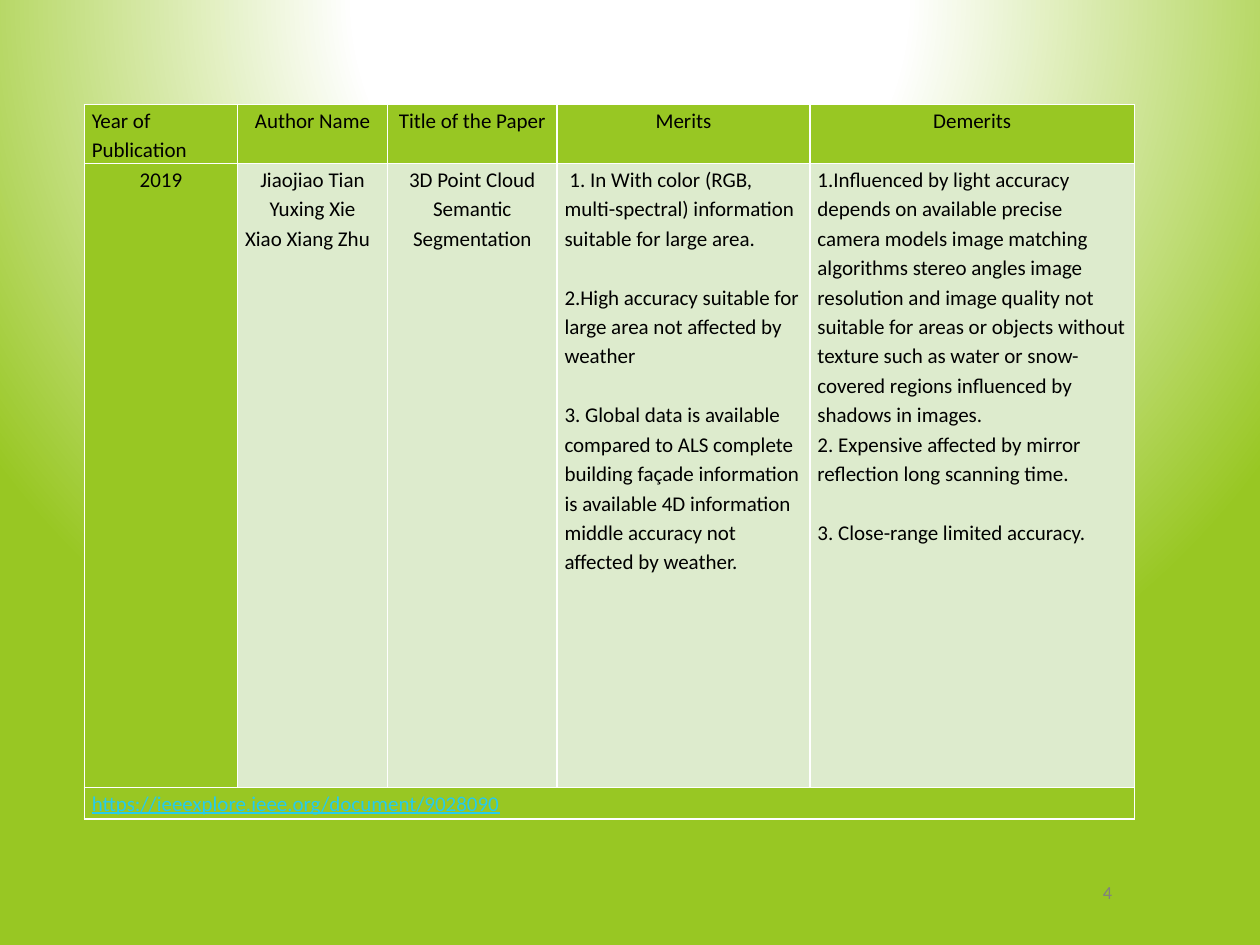
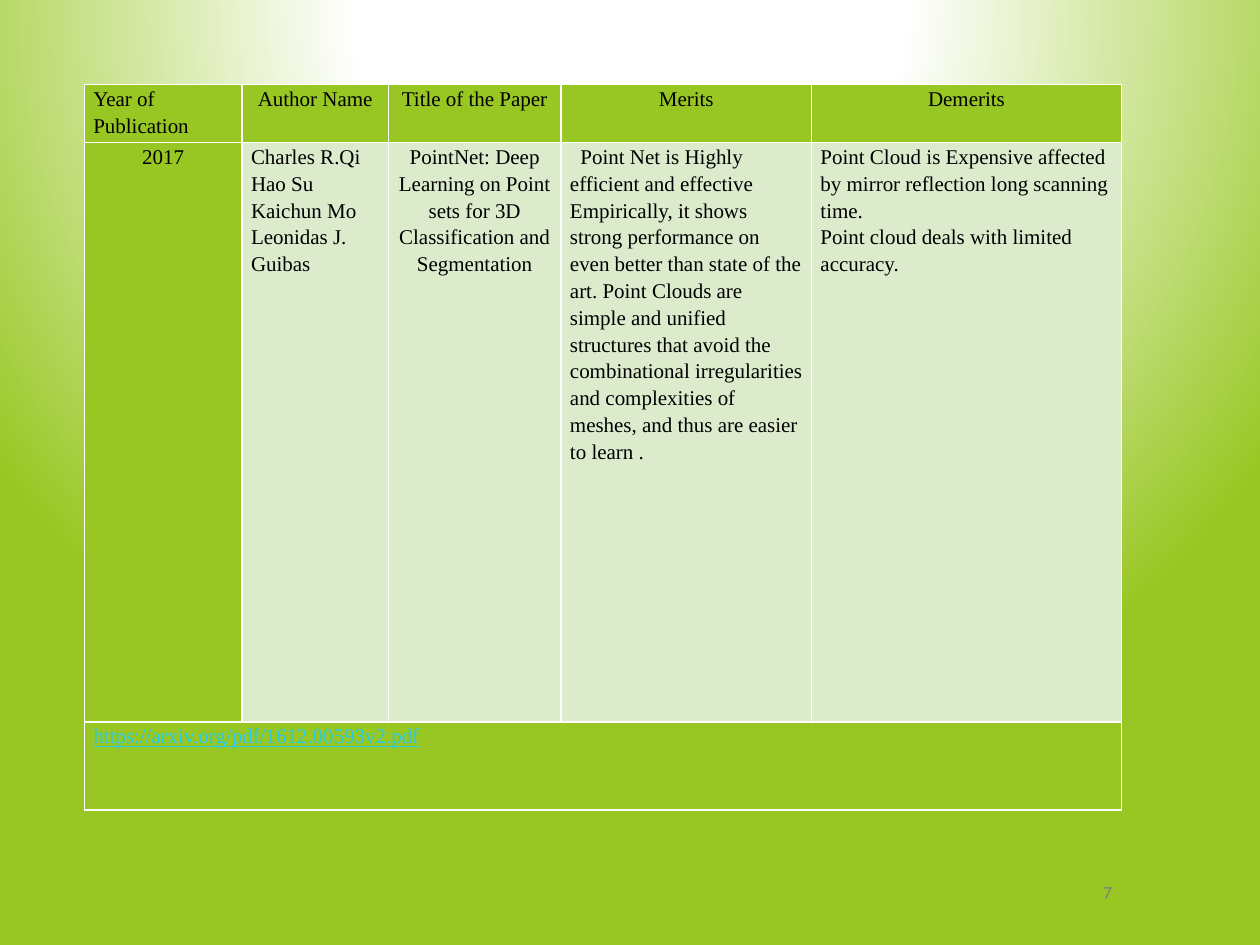
from dataclasses import dataclass

from lxml import etree
from pptx import Presentation
from pptx.dml.color import RGBColor
from pptx.enum.text import MSO_ANCHOR, PP_ALIGN
from pptx.oxml.ns import qn
from pptx.util import Cm, Pt

LEFT, CENTER = PP_ALIGN.LEFT, PP_ALIGN.CENTER
MIDDLE = MSO_ANCHOR.MIDDLE

WHITE = RGBColor(0xFF, 0xFF, 0xFF)
BLACK = RGBColor(0x00, 0x00, 0x00)
GREEN = RGBColor(0x98, 0xC7, 0x23)
PALE_GREEN = RGBColor(0xDD, 0xEB, 0xCD)
LINK_BLUE = RGBColor(0x26, 0xCB, 0xEC)
GREY = RGBColor(0x80, 0x80, 0x80)

BODY_SIZE = Pt(12)
LINE_SPACING = 1.15
BLANK_LINE = Pt(16.8)
TABLE_LEFT = Cm(1.7)
HEADERS = ["Year of Publication", "Author Name", "Title of the Paper", "Merits", "Demerits"]


@dataclass
class Line:
    """One paragraph of a table cell."""
    text: str
    alignment: PP_ALIGN = LEFT
    space_before: int = 0
    indent: int = 0


@dataclass
class Paper:
    """One reviewed paper and the table that presents it."""
    columns: list
    rows: list
    top: float
    margin: float
    font: str
    cells: list
    link: str
    slide_number: str


PAPERS = [
    Paper(
        columns=[3.09, 3.02, 3.42, 5.1, 6.54],
        rows=[1.19, 12.57, 0.64],
        top=2.11,
        margin=0.15,
        font="Calibri",
        cells=[
            [Line("2019", CENTER)],
            [Line("Jiaojiao Tian", CENTER), Line("Yuxing Xie", CENTER), Line("Xiao Xiang Zhu")],
            [Line("3D Point Cloud Semantic", CENTER), Line("Segmentation", CENTER)],
            [
                Line("1. In With color (RGB, multi-spectral) information suitable for "
                     "large area.", indent=Cm(0.1)),
                Line("2.High accuracy suitable for large area not affected by weather",
                     space_before=BLANK_LINE),
                Line("3. Global data is available compared to ALS complete building façade "
                     "information is available 4D information middle accuracy not affected "
                     "by weather.", space_before=BLANK_LINE),
            ],
            [
                Line("1.Influenced by light accuracy depends on available precise camera "
                     "models image matching algorithms stereo angles image resolution and "
                     "image quality not suitable for areas or objects without texture such "
                     "as water or snow-covered regions influenced by shadows in images."),
                Line("2. Expensive affected by mirror reflection long scanning time."),
                Line("3. Close-range limited accuracy.", space_before=BLANK_LINE),
            ],
        ],
        link="https://ieeexplore.ieee.org/document/9028090",
        slide_number="4",
    ),
    Paper(
        columns=[3.18, 2.95, 3.48, 5.05, 6.25],
        rows=[1.17, 11.68, 1.78],
        top=1.7,
        margin=0.18,
        font="Times New Roman",
        cells=[
            [Line("2017", CENTER)],
            [Line(name) for name in
             ("Charles R.Qi", "Hao Su", "Kaichun Mo", "Leonidas J.", "Guibas")],
            [Line("PointNet: Deep Learning on Point sets for 3D Classification and "
                  "Segmentation", CENTER)],
            [Line("Point Net is Highly efficient and effective Empirically, it shows strong "
                  "performance on even better than state of the art. Point Clouds are simple "
                  "and unified structures that avoid the combinational irregularities and "
                  "complexities of meshes, and thus are easier to learn .", indent=Cm(0.21))],
            [
                Line("Point Cloud is Expensive affected by mirror reflection long scanning "
                     "time."),
                Line("Point cloud deals with limited accuracy."),
            ],
        ],
        link="https://arxiv.org/pdf/1612.00593v2.pdf",
        slide_number="7",
    ),
]


def add_solid_color(parent, color):
    fill = etree.SubElement(parent, qn("a:solidFill"))
    etree.SubElement(fill, qn("a:srgbClr"), val=str(color))


def set_master_background(master):
    """Give all slides a white glow from the top that fades to green."""
    master.background.fill.gradient()
    gradient = master.element.find(".//" + qn("a:gradFill"))
    for child in list(gradient):
        gradient.remove(child)
    stops = etree.SubElement(gradient, qn("a:gsLst"))
    for percent, color in ((0, WHITE), (35, WHITE), (100, GREEN)):
        stop = etree.SubElement(stops, qn("a:gs"), pos=str(percent * 1000))
        etree.SubElement(stop, qn("a:srgbClr"), val=str(color))
    circle = etree.SubElement(gradient, qn("a:path"), {"path": "circle"})
    etree.SubElement(circle, qn("a:fillToRect"), l="50000", t="-80000", r="50000", b="180000")


def format_font(font, name, size, color):
    font.name = name
    font.size = size
    font.color.rgb = color


def style_cell(cell, fill_color, margin):
    cell.margin_left = cell.margin_right = Cm(margin)
    cell.margin_top = cell.margin_bottom = 0
    properties = cell._tc.get_or_add_tcPr()
    for side in ("a:lnL", "a:lnR", "a:lnT", "a:lnB"):
        add_solid_color(etree.SubElement(properties, qn(side), w=str(Pt(1))), WHITE)
    cell.fill.solid()
    cell.fill.fore_color.rgb = fill_color


def write_cell(cell, lines, font_name, color=BLACK, underline=None):
    text_frame = cell.text_frame
    text_frame.text = "\n".join(line.text for line in lines)
    for paragraph, line in zip(text_frame.paragraphs, lines):
        paragraph.alignment = line.alignment
        paragraph.line_spacing = LINE_SPACING
        if line.space_before:
            paragraph.space_before = line.space_before
        if line.indent:
            paragraph._p.get_or_add_pPr().set("indent", str(line.indent))
        for run in paragraph.runs:
            format_font(run.font, font_name, BODY_SIZE, color)
            run.font.underline = underline


def add_paper_table(slide, paper):
    frame = slide.shapes.add_table(
        len(paper.rows), len(paper.columns), TABLE_LEFT, Cm(paper.top),
        Cm(sum(paper.columns)), Cm(sum(paper.rows)))
    table = frame.table
    table.first_row = table.horz_banding = False
    for column, width in zip(table.columns, paper.columns):
        column.width = Cm(width)
    for row, height in zip(table.rows, paper.rows):
        row.height = Cm(height)

    for row_index in range(len(paper.rows)):
        for column_index in range(len(paper.columns)):
            is_finding = row_index == 1 and column_index > 0
            style_cell(table.cell(row_index, column_index),
                       PALE_GREEN if is_finding else GREEN, paper.margin)

    for index, header in enumerate(HEADERS):
        alignment = CENTER if index else LEFT
        write_cell(table.cell(0, index), [Line(header, alignment)], paper.font)
        write_cell(table.cell(1, index), paper.cells[index], paper.font)

    link_cell = table.cell(2, 0)
    link_cell.merge(table.cell(2, len(HEADERS) - 1))
    write_cell(link_cell, [Line(paper.link)], paper.font, LINK_BLUE, underline=True)


def add_slide_number(slide, number):
    box = slide.shapes.add_textbox(Cm(21.59), Cm(17.78), Cm(1.47), Cm(0.43))
    text_frame = box.text_frame
    text_frame.word_wrap = True
    text_frame.vertical_anchor = MIDDLE
    text_frame.text = number
    paragraph = text_frame.paragraphs[0]
    paragraph.alignment = CENTER
    format_font(paragraph.runs[0].font, "Calibri", Pt(10.5), GREY)


def main():
    presentation = Presentation()
    presentation.slide_width = Cm(25.4)
    presentation.slide_height = Cm(19.05)
    set_master_background(presentation.slide_master)
    blank_layout = presentation.slide_layouts[6]
    for paper in PAPERS:
        slide = presentation.slides.add_slide(blank_layout)
        add_paper_table(slide, paper)
        add_slide_number(slide, paper.slide_number)
    presentation.save("out.pptx")


if __name__ == "__main__":
    main()
